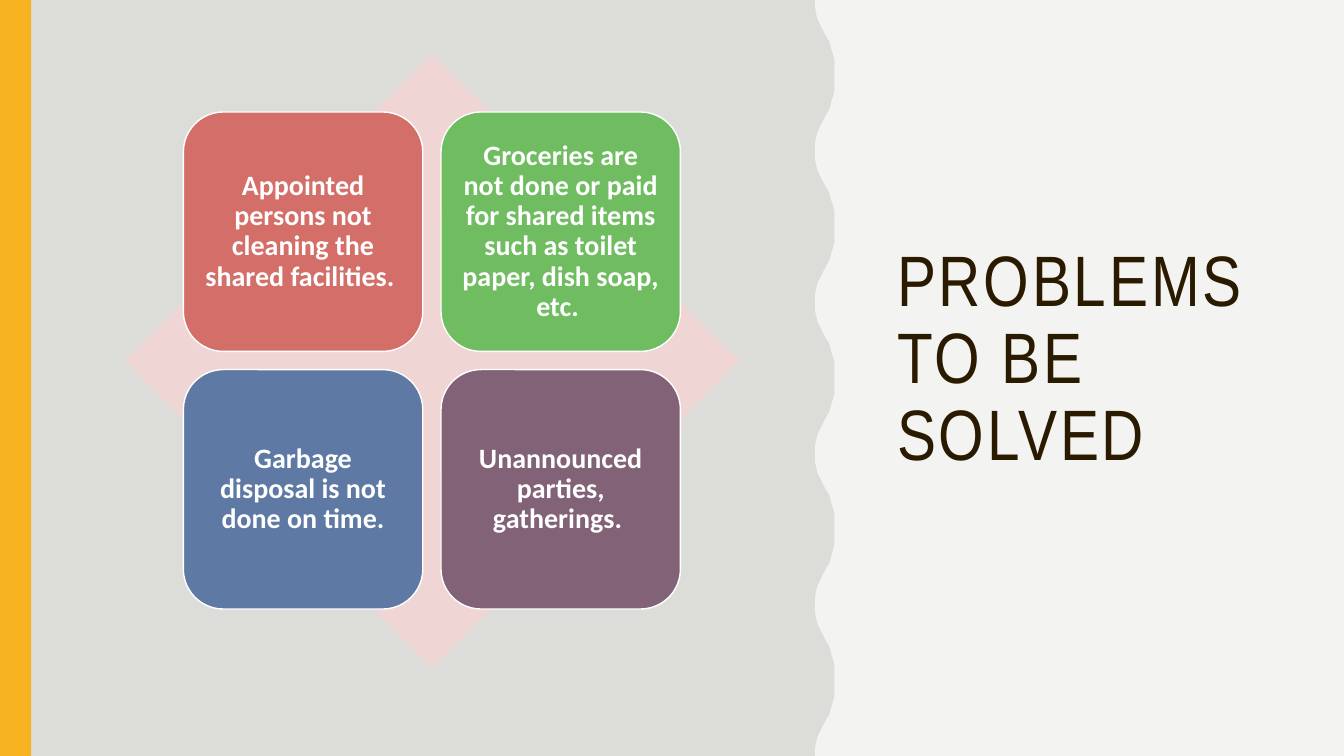
from pptx import Presentation
from pptx import util as u
from pptx.dml.color import RGBColor
from pptx.enum import shapes, text

COLOURS = {
    "paper": "F3F3F2", "panel": "DCDCD9", "strip": "F8B323", "ink": "2A1A00",
    "diamond": "EFD5D4", "white": "FFFFFF", "red": "D36F68",
    "green": "70BD61", "blue": "5E79A3", "plum": "826276",
}
WIDTH, HEIGHT = 960, 540
PANEL_EDGE, WAVE_LENGTH, WAVE_COUNT = 581.8, 108, 5
HALF_WAVE = [
    (0, 0), (0.4, 5), (1.2, 10), (2.5, 14), (4, 17.5), (5.6, 20.5),
    (7.2, 23.5), (8.6, 26.5), (10, 29.2), (11.3, 32.2), (12.5, 35.5),
    (13.5, 39), (14, 43), (14.3, 48), (14.4, 54),
]
TILE_SIZE, TILE_STEP, TILE_LEFT, TILE_TOP = 171, 184, 131, 80
PROBLEMS = [
    ("Appointed persons not cleaning the shared facilities. ", "red"),
    ("Groceries are not done or paid for shared items such as toilet paper, dish soap, etc. ", "green"),
    ("Garbage disposal is not done on time.", "blue"),
    ("Unannounced parties, gatherings. ", "plum"),
]


class ProblemSlide:
    """Hold the style and the current slide, and add its elements."""

    title_font = {"name": "Arial Narrow", "size": u.Pt(51), "bold": False}
    tile_font = {"name": "Calibri", "size": u.Pt(20), "bold": True}

    def __init__(self, deck):
        self.slide = deck.slides.add_slide(deck.slide_layouts[5])
        self.paint(self.slide.background.fill, "paper")

    def paint(self, fill, colour):
        fill.solid()
        fill.fore_color.rgb = RGBColor.from_string(COLOURS[colour])

    def finish(self, shape, colour, outline=None):
        shape.shadow.inherit = False
        self.paint(shape.fill, colour)
        if outline:
            self.paint(shape.line.fill, outline)
            shape.line.width = u.Pt(1)
        else:
            shape.line.fill.background()
        return shape

    def add_words(self, frame, words, font, colour, align):
        frame.word_wrap = True
        frame.auto_size = text.MSO_AUTO_SIZE.NONE
        frame.vertical_anchor = text.MSO_ANCHOR.MIDDLE
        paragraph = frame.paragraphs[0]
        paragraph.alignment = align
        paragraph.line_spacing = 0.9
        run = paragraph.add_run()
        run.text = words
        for name, value in font.items():
            setattr(run.font, name, value)
        run.font.color.rgb = RGBColor.from_string(COLOURS[colour])
        return run

    def title(self, words, left, top, width, height):
        heading = self.slide.shapes.title
        box = {"left": left, "top": top, "width": width, "height": height}
        for name, value in box.items():
            setattr(heading, name, u.Pt(value))
        run = self.add_words(heading.text_frame, words, self.title_font, "ink", text.PP_ALIGN.LEFT)
        run._r.get_or_add_rPr().set("spc", "200")

    def wavy_panel(self):
        period = HALF_WAVE + [(x, WAVE_LENGTH - y) for x, y in HALF_WAVE[-2::-1]]
        edge = [
            (PANEL_EDGE + x, wave * WAVE_LENGTH + y)
            for wave in range(WAVE_COUNT) for x, y in period
        ]
        outline = self.slide.shapes.build_freeform(0, 0, scale=u.Pt(1))
        outline.add_line_segments(edge + [(0, HEIGHT)], close=True)
        self.finish(outline.convert_to_shape(), "panel")

    def block(self, kind, left, top, width, height, colour, outline=None):
        box = [u.Pt(value) for value in (left, top, width, height)]
        return self.finish(self.slide.shapes.add_shape(kind, *box), colour, outline)

    def tile(self, words, left, top, colour):
        tile = self.block(shapes.MSO_SHAPE.ROUNDED_RECTANGLE, left, top,
                          TILE_SIZE, TILE_SIZE, colour, "white")
        for side in ("left", "top", "right", "bottom"):
            setattr(tile.text_frame, f"margin_{side}", u.Pt(6))
        self.add_words(tile.text_frame, words, self.tile_font, "white", text.PP_ALIGN.CENTER)


def main():
    deck = Presentation()
    deck.slide_width, deck.slide_height = u.Pt(WIDTH), u.Pt(HEIGHT)
    page = ProblemSlide(deck)
    page.title("PROBLEMS TO BE SOLVED", 633.6, 38.2, 288, 438.5)
    page.wavy_panel()
    page.block(shapes.MSO_SHAPE.RECTANGLE, 0, 0, 22.3, HEIGHT, "strip")
    page.block(shapes.MSO_SHAPE.DIAMOND, 89.3, 38.2, 439.2, 439.2, "diamond")
    for index, (problem, colour) in enumerate(PROBLEMS):
        row, column = divmod(index, 2)
        page.tile(problem, TILE_LEFT + column * TILE_STEP, TILE_TOP + row * TILE_STEP, colour)
    deck.save("out.pptx")


if __name__ == "__main__":
    main()
